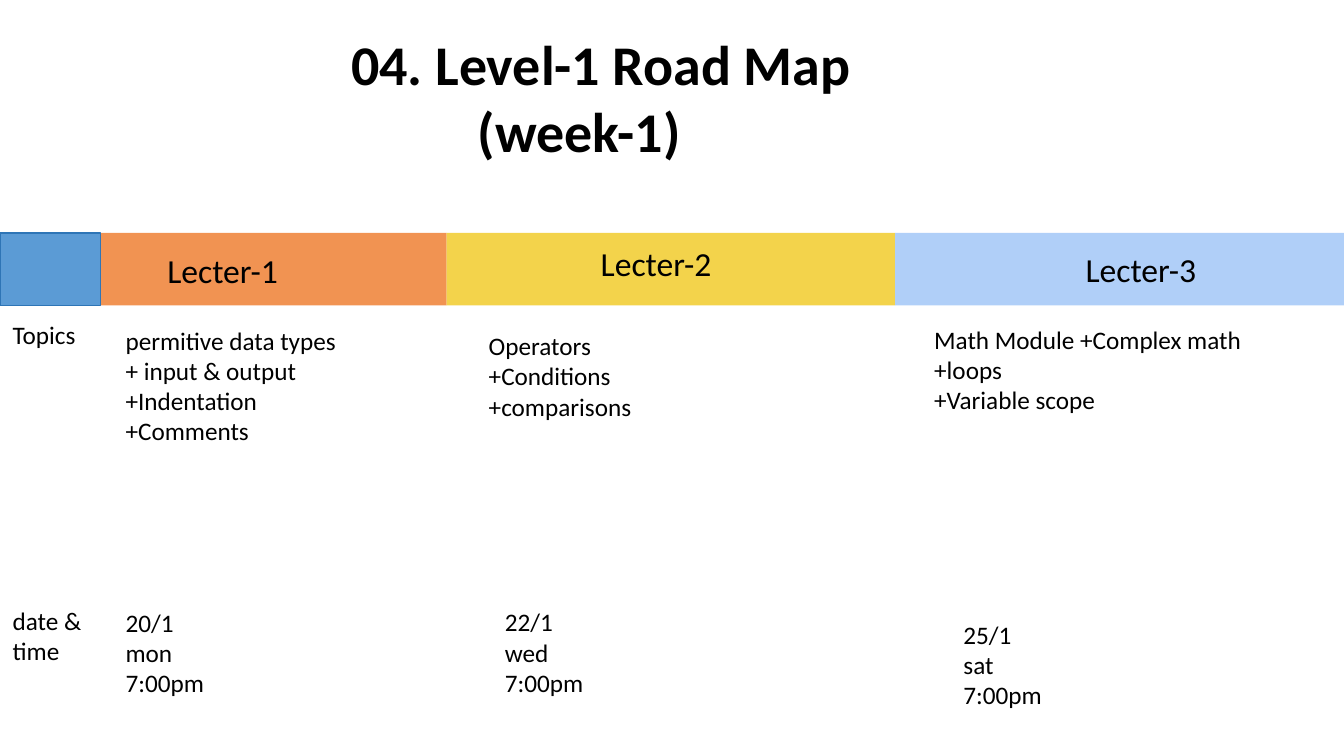
"""Build the week-1 road map slide with three lecture columns."""
from dataclasses import dataclass

import pptx
import pptx.dml.color
import pptx.enum.shapes
import pptx.slide
import pptx.util

BLACK = pptx.dml.color.RGBColor(0x00, 0x00, 0x00)
ORANGE = pptx.dml.color.RGBColor(0xF1, 0x93, 0x52)
YELLOW = pptx.dml.color.RGBColor(0xF3, 0xD3, 0x4B)
LIGHT_BLUE = pptx.dml.color.RGBColor(0xB0, 0xCF, 0xF8)
BLUE = pptx.dml.color.RGBColor(0x5B, 0x9B, 0xD5)
DARK_BLUE = pptx.dml.color.RGBColor(0x2E, 0x75, 0xB6)

FONT_NAME = "Calibri"
TITLE_SIZE = 40
HEADING_SIZE = 24
BODY_SIZE = 18
BAND_TOP = 166.3
BAND_HEIGHT = 51.8


@dataclass(frozen=True)
class Band:
    left: float
    width: float
    fill: pptx.dml.color.RGBColor
    line: pptx.dml.color.RGBColor | None = None


@dataclass(frozen=True)
class Label:
    left: float
    top: float
    width: float
    height: float
    lines: tuple[str, ...]
    size: float = BODY_SIZE
    bold: bool = False
    indents: tuple[float, ...] = ()


BANDS = (
    Band(0, 319, ORANGE),
    Band(319, 320.4, YELLOW),
    Band(639.4, 320.6, LIGHT_BLUE),
    Band(0, 72, BLUE, DARK_BLUE),
)

LABELS = (
    Label(153.4, 17.3, 594.7, 104.4, ("04. Level-1 Road Map", "(week-1)"),
          TITLE_SIZE, True, (90.4, 180.8)),
    Label(20.2, 175, 267.8, 36, ("Lecter-1",), HEADING_SIZE, indents=(92.2,)),
    Label(329.8, 169.9, 301, 48.2, ("Lecter-2",), HEADING_SIZE, indents=(92.2,)),
    Label(654.5, 174.2, 275.8, 36, ("Lecter-3",), HEADING_SIZE, indents=(113.9,)),
    Label(2, 224.6, 69.8, 28.8, ("Topics",)),
    Label(82.6, 228.5, 231, 94.3,
          ("permitive data types", "+ input & output", "+Indentation", "+Comments")),
    Label(342, 232.4, 293.8, 72.7, ("Operators", "+Conditions", "+comparisons")),
    Label(660.2, 227.8, 284.4, 72.7,
          ("Math Module +Complex math", "+loops", "+Variable scope")),
    Label(2, 429, 69.8, 51.1, ("date & time",)),
    Label(82.6, 430.1, 215.3, 85, ("20/1", "mon", "7:00pm")),
    Label(353.5, 429.8, 202.3, 72.7, ("22/1", "wed", "7:00pm")),
    Label(681.1, 438.5, 222.5, 72.7, ("25/1", "sat", "7:00pm")),
)


def add_band(slide: pptx.slide.Slide, band: Band) -> None:
    shape = slide.shapes.add_shape(
        pptx.enum.shapes.MSO_SHAPE.RECTANGLE,
        pptx.util.Pt(band.left), pptx.util.Pt(BAND_TOP),
        pptx.util.Pt(band.width), pptx.util.Pt(BAND_HEIGHT),
    )
    shape.shadow.inherit = False
    shape.fill.solid()
    shape.fill.fore_color.rgb = band.fill
    if band.line is None:
        shape.line.fill.background()
    else:
        shape.line.color.rgb = band.line
        shape.line.width = pptx.util.Pt(1)


def add_label(slide: pptx.slide.Slide, label: Label) -> None:
    shape = slide.shapes.add_textbox(
        pptx.util.Pt(label.left), pptx.util.Pt(label.top),
        pptx.util.Pt(label.width), pptx.util.Pt(label.height),
    )
    text_frame = shape.text_frame
    text_frame.word_wrap = True
    indents = label.indents or (0,) * len(label.lines)
    for index, (line, indent) in enumerate(zip(label.lines, indents)):
        paragraph = text_frame.add_paragraph() if index else text_frame.paragraphs[0]
        if indent:
            paragraph._p.get_or_add_pPr().set("marL", str(int(pptx.util.Pt(indent))))
        run = paragraph.add_run()
        run.text = line
        run.font.name = FONT_NAME
        run.font.size = pptx.util.Pt(label.size)
        run.font.bold = label.bold
        run.font.color.rgb = BLACK


def main() -> None:
    presentation = pptx.Presentation()
    presentation.slide_width = pptx.util.Pt(960)
    presentation.slide_height = pptx.util.Pt(540)
    slide = presentation.slides.add_slide(presentation.slide_layouts[6])
    for band in BANDS:
        add_band(slide, band)
    for label in LABELS:
        add_label(slide, label)
    presentation.save("out.pptx")


if __name__ == "__main__":
    main()
